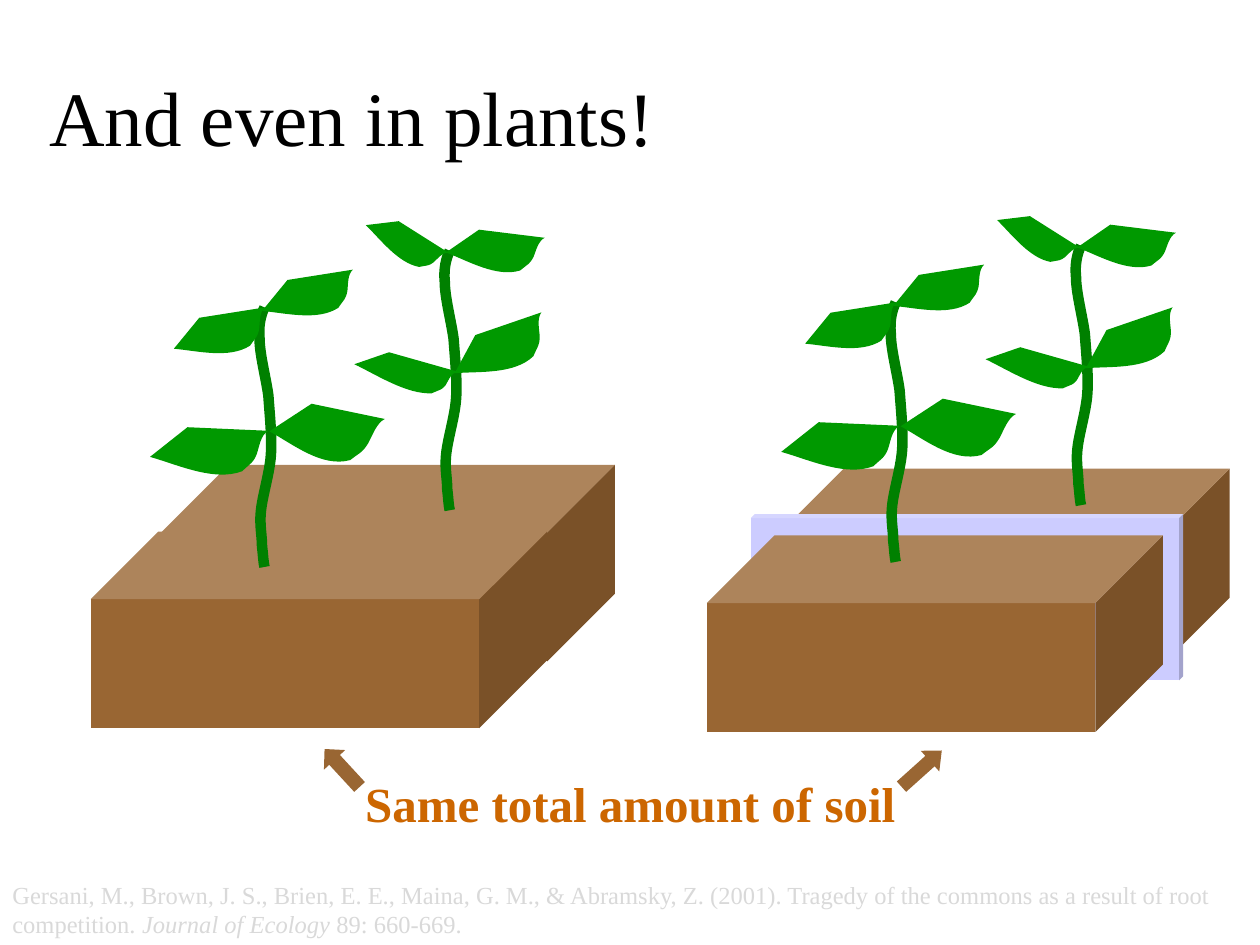
from lxml.etree import SubElement
from pptx import Presentation
from pptx.dml.color import RGBColor
from pptx.enum.shapes import MSO_SHAPE as Preset
from pptx.enum.text import MSO_ANCHOR as Anchor, PP_ALIGN as Align
from pptx.oxml.ns import qn
from pptx.util import Inches, Pt

FONT = "Times New Roman"
BLACK = RGBColor(0x00, 0x00, 0x00)
GREY = RGBColor(0xD9, 0xD9, 0xD9)
ORANGE = RGBColor(0xCC, 0x66, 0x00)
SOIL = RGBColor(0x99, 0x66, 0x33)
DIVIDER = RGBColor(0xCC, 0xCC, 0xFF)
STEM = RGBColor(0x00, 0x80, 0x00)
LEAF = RGBColor(0x00, 0x99, 0x00)

RIGHT_SHIFT = (5.01, -0.04)
SOIL_DEPTH = 0.344

STEM_SIZE = (0.11, 2.06)
STEM_CURVE = [(0.45, 1), (0.36, 0.98), (0.36, 0.96), (0.27, 0.92),
              (0.27, 0.88), (0.09, 0.84), (0.18, 0.79),
              (0.27, 0.73), (0.82, 0.64), (0.91, 0.57),
              (1, 0.5), (0.82, 0.41), (0.73, 0.34),
              (0.55, 0.27), (0.09, 0.18), (0.09, 0.12),
              (0, 0.07), (0.18, 0.03), (0.45, 0)]

LEAF_CURVE = [(0, 0.8), (0.26, 0.84), (0.61, 1), (0.84, 0.74),
              (0.91, 0.56), (0.92, 0.58), (0.94, 0.42),
              (0.95, 0.29), (0.94, 0.1), (1, 0)]
LEAF_SHOULDER = (0.28, 0.2)

# Each plant has a stem corner and leaves given as frame, rotation.
PLANTS = [
    ((2.05, 2.44), [
        ((2.17, 3.15, 0.81, 0.55), 22.4),
        ((1.21, 3.33, 0.88, 0.48), 11.1),
        ((2.08, 2.14, 0.72, 0.41), 0),
        ((1.38, 2.44, 0.72, 0.41), 0),
    ]),
    ((3.52, 1.99), [
        ((3.58, 2.54, 0.76, 0.45), 350.3),
        ((2.82, 2.79, 0.78, 0.32), 22.3),
        ((3.56, 1.78, 0.72, 0.41), 16),
        ((2.89, 1.76, 0.64, 0.32), 40.2),
    ]),
]


def bend_lines(outline, curve_count):
    lines = list(outline.element.iter(qn("a:lnTo")))
    for first in range(0, 3 * curve_count, 3):
        trio = lines[first:first + 3]
        bend = SubElement(trio[0].getparent(), qn("a:cubicBezTo"))
        trio[0].addprevious(bend)
        for line in trio:
            bend.append(line[0])
            line.getparent().remove(line)


def add_outline(page, frame, curve, corners=(), close=False):
    left, top, width, height = frame
    start, *rest = [(Inches(left + x * width), Inches(top + y * height))
                    for x, y in [*curve, *corners]]
    builder = page.shapes.build_freeform(*start)
    builder.add_line_segments(rest, close=close)
    outline = builder.convert_to_shape()
    outline.shadow.inherit = False
    bend_lines(outline, len(curve) // 3)
    return outline


def add_stem(page, left, top):
    stem = add_outline(page, (left, top, *STEM_SIZE), STEM_CURVE)
    stem.fill.background()
    stem.line.color.rgb = STEM
    stem.line.width = Pt(6)


def add_leaf(page, frame, rotation):
    leaf = add_outline(page, frame, LEAF_CURVE, [LEAF_SHOULDER], close=True)
    leaf.rotation = rotation
    leaf.fill.solid()
    leaf.fill.fore_color.rgb = LEAF
    leaf.line.fill.background()


def add_plants(page, across, down):
    for (stem_left, stem_top), leaves in PLANTS:
        add_stem(page, stem_left + across, stem_top + down)
        for (left, top, width, height), rotation in leaves:
            add_leaf(page, (left + across, top + down, width, height), rotation)


def add_solid(page, preset, frame, color, adjustments, rotation=0):
    solid = page.shapes.add_shape(preset, *map(Inches, frame))
    solid.shadow.inherit = False
    solid.fill.solid()
    solid.fill.fore_color.rgb = color
    solid.line.fill.background()
    solid.rotation = rotation
    for index, value in enumerate(adjustments):
        solid.adjustments[index] = value


def add_text(page, frame, spans, size, color, bold=False, anchor=Anchor.TOP):
    box = page.shapes.add_textbox(*map(Inches, frame))
    box.text_frame.word_wrap = True
    box.text_frame.vertical_anchor = anchor
    para = box.text_frame.paragraphs[0]
    para.font.name = FONT
    para.font.size = Pt(size)
    para.font.bold = bold
    para.font.color.rgb = color
    for text, italic in spans:
        span = para.add_run()
        span.text = text
        if italic:
            span.font.italic = True


def set_title(page, text):
    title = page.shapes.title
    title.left, title.top, title.width, title.height = map(Inches, (0.29, 0.29, 9, 1.25))
    title.text_frame.text = text
    title.text_frame.vertical_anchor = Anchor.MIDDLE
    para = title.text_frame.paragraphs[0]
    para.alignment = Align.LEFT
    para.font.name = FONT
    para.font.size = Pt(44)
    para.font.color.rgb = BLACK


def main():
    deck = Presentation()
    deck.slide_width, deck.slide_height = Inches(10), Inches(7.5)
    page = deck.slides.add_slide(deck.slide_layouts[5])
    add_text(page, (0, 6.93, 10, 0.57), [
        ("Gersani, M., Brown, J. S., Brien, E. E., Maina, G. M., & Abramsky, Z. (2001). "
         "Tragedy of the commons as a result of root competition. ", False),
        ("Journal of Ecology", True),
        (" 89: 660-669.", False),
    ], 14, GREY, anchor=Anchor.MIDDLE)
    add_text(page, (2.8, 6.09, 4.64, 0.57), [("Same total amount of soil", False)],
             28, ORANGE, bold=True)
    set_title(page, "And even in plants!")
    for frame, rotation, head in (((7.1, 5.99, 0.43, 0.22), 318.1, 0.57),
                                  ((2.51, 5.98, 0.41, 0.23), 227.3, 0.51)):
        add_solid(page, Preset.RIGHT_ARROW, frame, SOIL, (0.5, head), rotation)
    for frame, color, depth in (((1.28, 3.69, 3.6, 1.56), SOIL, SOIL_DEPTH),
                                ((0.72, 4.22, 3.62, 1.56), SOIL, SOIL_DEPTH),
                                ((6.16, 3.72, 3.6, 1.56), SOIL, SOIL_DEPTH),
                                ((5.96, 4.08, 3.43, 1.32), DIVIDER, 0.024),
                                ((5.61, 4.25, 3.62, 1.56), SOIL, SOIL_DEPTH)):
        add_solid(page, Preset.CUBE, frame, color, (depth,))
    for shift in ((0, 0), RIGHT_SHIFT):
        add_plants(page, *shift)
    deck.save("out.pptx")


if __name__ == "__main__":
    main()
